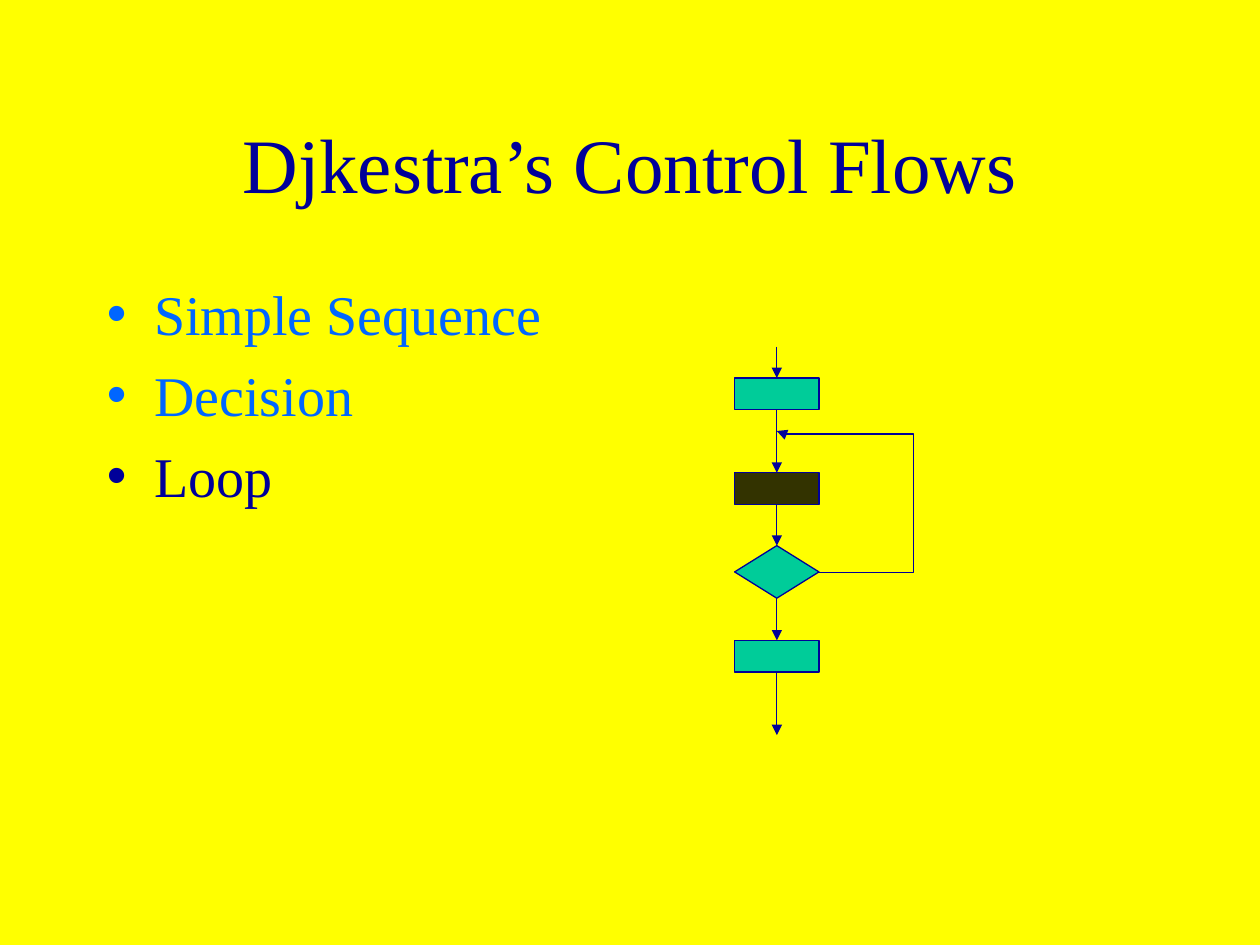
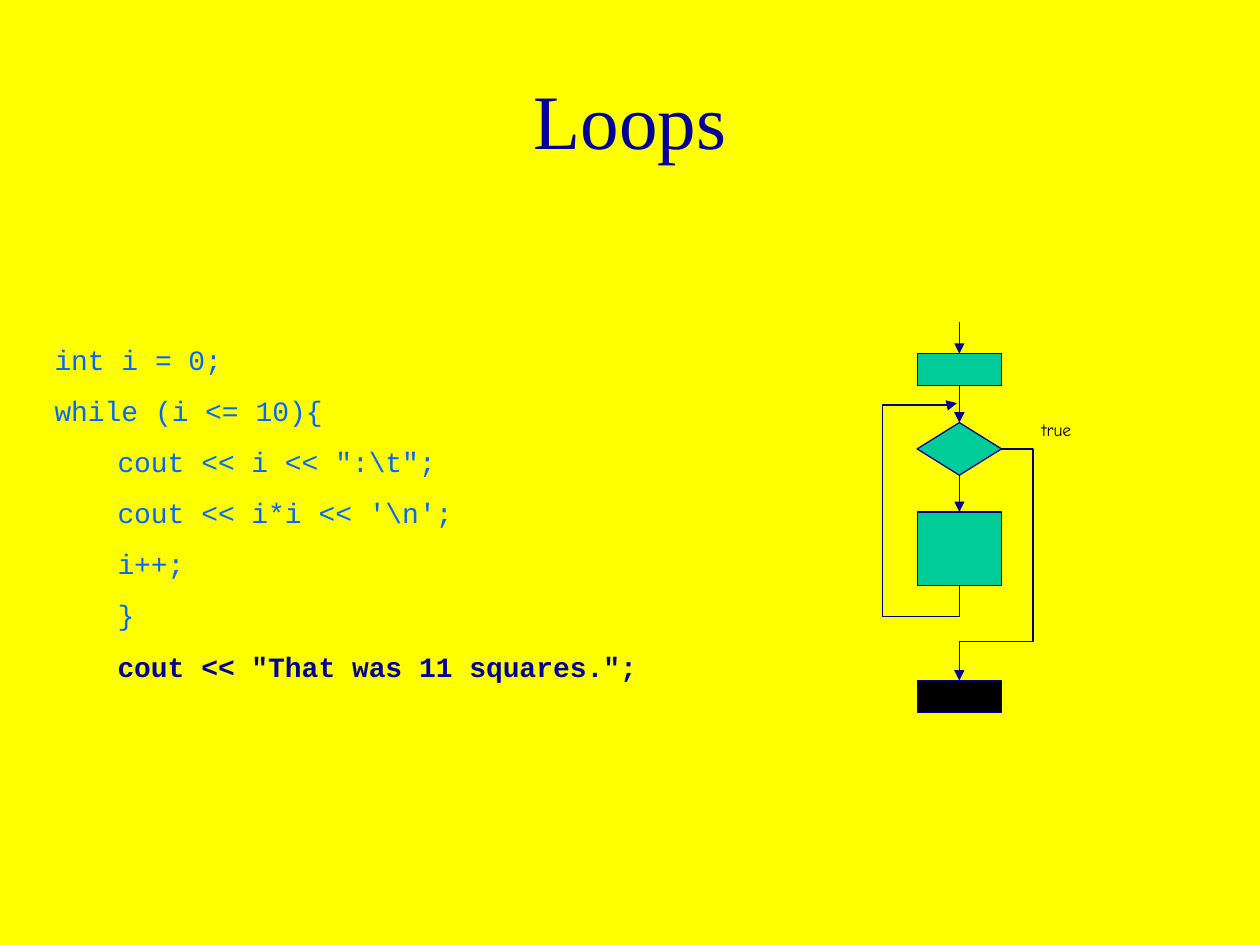
from itertools import pairwise

from lxml.etree import SubElement as Sub
from pptx import Presentation
from pptx.dml.color import RGBColor as Rgb
from pptx.enum.shapes import MSO_CONNECTOR as Link, MSO_SHAPE as Form
from pptx.enum.text import MSO_ANCHOR as Anchor, MSO_AUTO_SIZE as Fit, PP_ALIGN as Align
from pptx.oxml.ns import qn
from pptx.util import Cm, Pt

HUES = {"page": "FFFF00", "ink": "000099", "past": "0066FF",
        "step": "00CC99", "body": "333300", "end": "000000"}
SERIF, MONO, HAND = "Times New Roman", "Courier New", "Comic Neue"
BOX, TEST = Form.FLOWCHART_PROCESS, Form.FLOWCHART_DECISION
WIDE, LOW = 1.7, 0.64


def hue(name):
    return Rgb.from_string(HUES[name])


class Deck:
    """Holds the shared style and the slide being filled."""

    def __init__(self):
        self.prs = Presentation()
        self.prs.slide_width, self.prs.slide_height = Cm(25.4), Cm(19.05)
        fill = self.prs.slide_master.background.fill
        fill.solid()
        fill.fore_color.rgb = hue("page")

    def place(self, shape, left, top, width, height):
        shape.left, shape.top = Cm(left), Cm(top)
        shape.width, shape.height = Cm(width), Cm(height)

    def style(self, para, face, size, color, bold=False):
        font = para.font
        font.name, font.size, font.bold = face, Pt(size), bold
        font.color.rgb = hue(color)

    def slide(self, title, layout, lift=0):
        self.page = self.prs.slides.add_slide(self.prs.slide_layouts[layout])
        head = self.page.shapes.title
        self.place(head, 1.9, 1.7, 21.6, 3.18)
        frame = head.text_frame
        frame.text = title
        frame.auto_size = Fit.NONE
        frame.vertical_anchor = Anchor.MIDDLE
        frame.margin_bottom = Cm(0.13 + lift)
        para = frame.paragraphs[0]
        para.alignment = Align.CENTER
        self.style(para, SERIF, 44, "ink")

    def points(self, items):
        body = self.page.placeholders[1]
        self.place(body, 1.9, 5.5, 21.6, 11.43)
        frame = body.text_frame
        frame.text = "\n".join(items)
        frame.auto_size = Fit.NONE
        for para in frame.paragraphs:
            last = para.text == items[-1]
            para.space_before = Pt(8)
            self.style(para, SERIF, 32, "ink" if last else "past")

    def text(self, lines, left, top, width, height, wrap=True):
        box = self.page.shapes.add_textbox(Cm(left), Cm(top), Cm(width), Cm(height))
        frame = box.text_frame
        frame.word_wrap = wrap
        frame.text = "\n".join(lines)
        return frame.paragraphs

    def code(self, lines, flush):
        for row, para in enumerate(self.text(lines, 0.85, 6.78, 13.33, 7.11)):
            last = row == len(lines) - 1
            para.space_before = Pt(10)
            if row >= flush:
                para._p.get_or_add_pPr().set("marL", str(Cm(1.27)))
            self.style(para, MONO, 16, "ink" if last else "past", last)

    def label(self, word, left, top):
        para = self.text([word], left, top, 1.1, 0.68, False)[0]
        self.style(para, HAND, 10, "end")

    def node(self, axis, form, top, height, color):
        shape = self.page.shapes.add_shape(
            form, Cm(axis - WIDE / 2), Cm(top), Cm(WIDE), Cm(height))
        shape.shadow.inherit = False
        shape.fill.solid()
        shape.fill.fore_color.rgb = hue(color)
        shape.line.color.rgb = hue("ink")
        shape.line.width = Pt(0.75)

    def arrow(self, x1, y1, x2, y2, bends=(), turn=0):
        kind = Link.ELBOW if bends else Link.STRAIGHT
        link = self.page.shapes.add_connector(kind, Cm(x1), Cm(y1), Cm(x2), Cm(y2))
        link.line.color.rgb = hue("ink")
        link.line.width = Pt(0.75)
        Sub(link.line._get_or_add_ln(), qn("a:tailEnd"), type="triangle")
        props = link._element.spPr
        Sub(props, qn("a:effectLst"))
        if turn:
            props.find(qn("a:xfrm")).set("rot", str(turn * 60000))
        if bends:
            geom = props.find(qn("a:prstGeom"))
            geom.set("prst", f"bentConnector{len(bends) + 2}")
            guides = geom.find(qn("a:avLst"))
            for num, bend in enumerate(bends, 1):
                Sub(guides, qn("a:gd"), name=f"adj{num}", fmla=f"val {round(bend * 100000)}")

    def flow(self, axis, start, nodes, stop=None):
        for node in nodes:
            self.node(axis, *node)
        ends = [(start, 0)] + [(top, high) for _, top, high, _ in nodes]
        if stop:
            ends.append((stop, 0))
        for (top, high), (goal, _) in pairwise(ends):
            self.arrow(axis, top + high, axis, goal)


def main():
    deck = Deck()

    deck.slide("Djkestra’s Control Flows", 1)
    axis = 15.66
    deck.flow(axis, 6.99, [(BOX, 7.62, LOW, "step"), (BOX, 9.53, LOW, "body"),
                           (TEST, 11, 1.06, "step"), (BOX, 12.91, LOW, "step")], 14.82)
    deck.arrow(axis + WIDE / 2, 11.54, axis, 8.69, (-2.25, 0.98))
    deck.points(["Simple Sequence", "Decision", "Loop"])

    deck.slide("Loops", 5, lift=1.8)
    axis = 19.34
    deck.flow(axis, 6.5, [(BOX, 7.13, LOW, "step"), (TEST, 8.52, 1.06, "step"),
                          (BOX, 10.32, 1.48, "step")])
    deck.node(axis, BOX, 13.72, LOW, "end")
    deck.arrow(17.48, 9.99, 21.15, 9.94, (-0.17, 31, 0.99), turn=270)
    deck.arrow(axis + WIDE / 2, 9.05, axis, 13.72, (-0.75, 0.83))
    deck.code(["int i = 0;", "while (i <= 10){", 'cout << i << ":\\t";',
               "cout << i*i << '\\n';", "i++;", "}",
               'cout << "That was 11 squares.";'], flush=2)
    deck.label("true", 20.75, 8.33)

    deck.prs.save("out.pptx")


if __name__ == "__main__":
    main()
